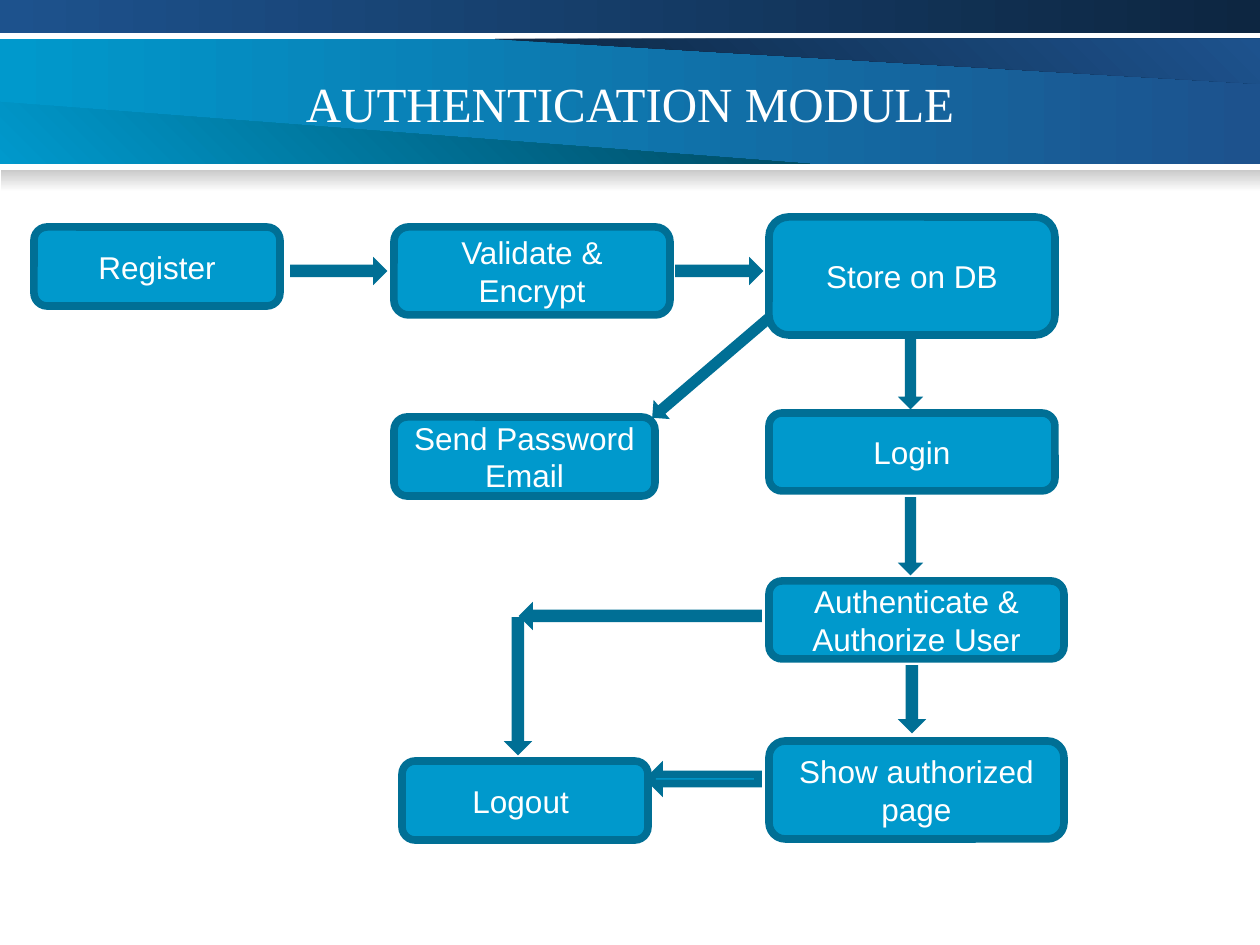
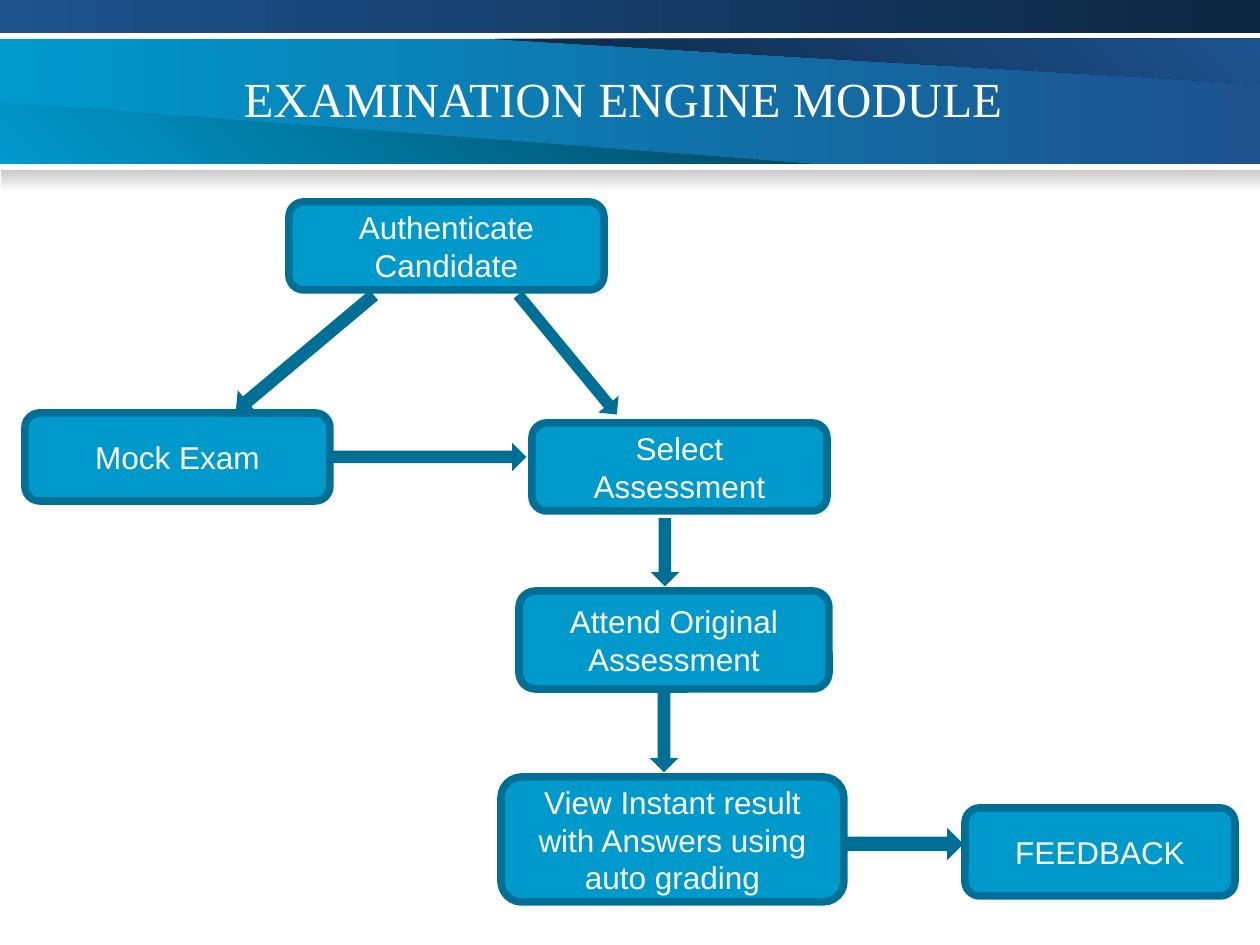
from lxml import etree
from pptx import Presentation
from pptx.dml.color import RGBColor
from pptx.enum.shapes import MSO_SHAPE
from pptx.enum.text import MSO_ANCHOR, MSO_AUTO_SIZE, PP_ALIGN
from pptx.oxml.ns import qn
from pptx.util import Pt

PX = 914400 / 126
SLIDE_W, SLIDE_H = 1260, 945
HEADER_BOX = (0, 0, SLIDE_W, 192)
FLOW_BOX = (0, 192, SLIDE_W, 753)

WHITE = RGBColor(0xFF, 0xFF, 0xFF)
SKY = RGBColor(0x00, 0x99, 0xCC)
TEAL = RGBColor(0x00, 0x6F, 0x95)
DEEP_TEAL = RGBColor(0x00, 0x47, 0x5E)
BLUE = RGBColor(0x1D, 0x52, 0x8D)
NAVY = RGBColor(0x0D, 0x26, 0x41)
GREY = RGBColor(0xCA, 0xCA, 0xCA)

RIGHT, LEFT, DOWN = MSO_SHAPE.RIGHT_ARROW, MSO_SHAPE.LEFT_ARROW, MSO_SHAPE.DOWN_ARROW


def px(n):
    return round(n * PX)


def write(sp, text, font="Arial", size=18, color=WHITE, align=PP_ALIGN.CENTER):
    tf = sp.text_frame
    tf.word_wrap = True
    tf.auto_size = MSO_AUTO_SIZE.NONE
    tf.vertical_anchor = MSO_ANCHOR.MIDDLE
    p = tf.paragraphs[0]
    p.alignment = align
    r = p.add_run()
    r.text = text
    r.font.name = font
    r.font.size = Pt(size)
    r.font.color.rgb = color


def add_preset(s, kind, x, y, w, h):
    sp = s.shapes.add_shape(kind, px(x), px(y), px(w), px(h))
    sp.shadow.inherit = False
    return sp


def shade(sp, start, end, angle):
    sp.shadow.inherit = False
    sp.line.fill.background()
    sp.fill.gradient()
    sp.fill.gradient_angle = angle
    for stop, color in zip(sp.fill.gradient_stops, (start, end)):
        stop.color.rgb = color


def add_header(s, layout, box):
    x, y, w, h = box

    def bar(left, top, width, height, *colors):
        sp = add_preset(s, MSO_SHAPE.RECTANGLE, x + left, y + top, width, height)
        shade(sp, *colors)
        return sp

    def wedge(points, *colors):
        (x0, y0), *rest = [(x + a, y + b) for a, b in points]
        outline = s.shapes.build_freeform(x0, y0, scale=PX)
        outline.add_line_segments(rest, close=True)
        sp = outline.convert_to_shape()
        shade(sp, *colors)
        return sp

    bands = [
        bar(0, 39, w, 125, SKY, BLUE, 0),
        wedge([(495, 39), (w, 84), (w, 39)], NAVY, BLUE, 45),
        wedge([(0, 102), (810, 164), (0, 164)], SKY, DEEP_TEAL, 45),
        bar(0, 0, w, 33, BLUE, NAVY, 0),
        bar(1, 170, w - 1, h - 170, GREY, WHITE, 270),
    ]
    title, *footers = layout.placeholders
    for ph in footers:
        ph.element.getparent().remove(ph.element)
    for band in bands:
        title.element.addprevious(band.element)


def add_title(s, text, box, align):
    title = s.shapes.title
    title.left, title.top, title.width, title.height = map(px, box)
    write(title, text, font="Times New Roman", size=28, align=align)


def add_flow(s, box, nodes, arrows):
    x, y = box[:2]

    def block(kind, left, top, width, height):
        sp = add_preset(s, kind, x + left, y + top, width, height)
        sp.fill.solid()
        sp.fill.fore_color.rgb = SKY
        sp.line.color.rgb = TEAL
        sp.line.width = Pt(4.34)
        ln = sp.element.spPr.find(qn("a:ln"))
        etree.SubElement(ln, qn("a:miter"), lim="800000")
        return sp

    for text, *place in nodes:
        write(block(MSO_SHAPE.ROUNDED_RECTANGLE, *place), text)
    for kind, rotation, *place in arrows:
        block(kind, *place).rotation = rotation


AUTH_NODES = [
    ("Register", 34, 35, 246, 79),
    ("Validate & Encrypt", 394, 35, 276, 88),
    ("Store on DB", 769, 25, 286, 118),
    ("Login", 769, 221, 286, 78),
    ("Authenticate & Authorize User", 769, 389, 295, 78),
    ("Show authorized page", 769, 549, 295, 98),
    ("Logout ", 402, 569, 246, 79),
    ("Send Password Email", 394, 225, 261, 79),
]
AUTH_ARROWS = [
    (RIGHT, 0, 294, 74, 88, 10),
    (RIGHT, 0, 679, 74, 79, 10),
    (DOWN, 0, 907, 143, 7, 69),
    (DOWN, 0, 907, 309, 7, 69),
    (DOWN, 0, 907, 477, 10, 59),
    (LEFT, 0, 650, 578, 108, 18),
    (DOWN, 0, 513, 429, 10, 129),
    (LEFT, 0, 524, 419, 234, 10),
    (RIGHT, 139.5, 639, 172, 144, 7),
]
EXAM_NODES = [
    ("Authenticate Candidate", 289, 10, 315, 88),
    ("Mock Exam", 25, 221, 305, 88),
    ("Select Assessment", 532, 231, 295, 88),
    ("Attend Original Assessment", 519, 399, 310, 98),
    ("View Instant result with Answers using auto grading", 501, 585, 343, 125),
    ("FEEDBACK", 965, 616, 270, 88),
]
EXAM_ARROWS = [
    (DOWN, 0, 660, 330, 10, 59),
    (DOWN, 320.5, 563, 89, 8, 146),
    (DOWN, 50, 300, 75, 11, 171),
    (RIGHT, 0, 847, 645, 111, 14),
    (RIGHT, 0, 335, 260, 186, 10),
    (DOWN, 0, 659, 497, 10, 78),
]
MODULES = [
    ("AUTHENTICATION MODULE", (0, 49, 1260, 108), PP_ALIGN.CENTER, AUTH_NODES, AUTH_ARROWS),
    ("EXAMINATION ENGINE MODULE", (231, 38, 914, 120), PP_ALIGN.LEFT, EXAM_NODES, EXAM_ARROWS),
]


def main():
    prs = Presentation()
    prs.slide_width, prs.slide_height = px(SLIDE_W), px(SLIDE_H)
    layout = prs.slide_layouts.get_by_name("Title Only")
    slides = [prs.slides.add_slide(layout) for _ in MODULES]
    add_header(slides[0], layout, HEADER_BOX)
    for s, (text, title_box, align, nodes, arrows) in zip(slides, MODULES):
        add_title(s, text, title_box, align)
        add_flow(s, FLOW_BOX, nodes, arrows)
    prs.save("out.pptx")


if __name__ == "__main__":
    main()
